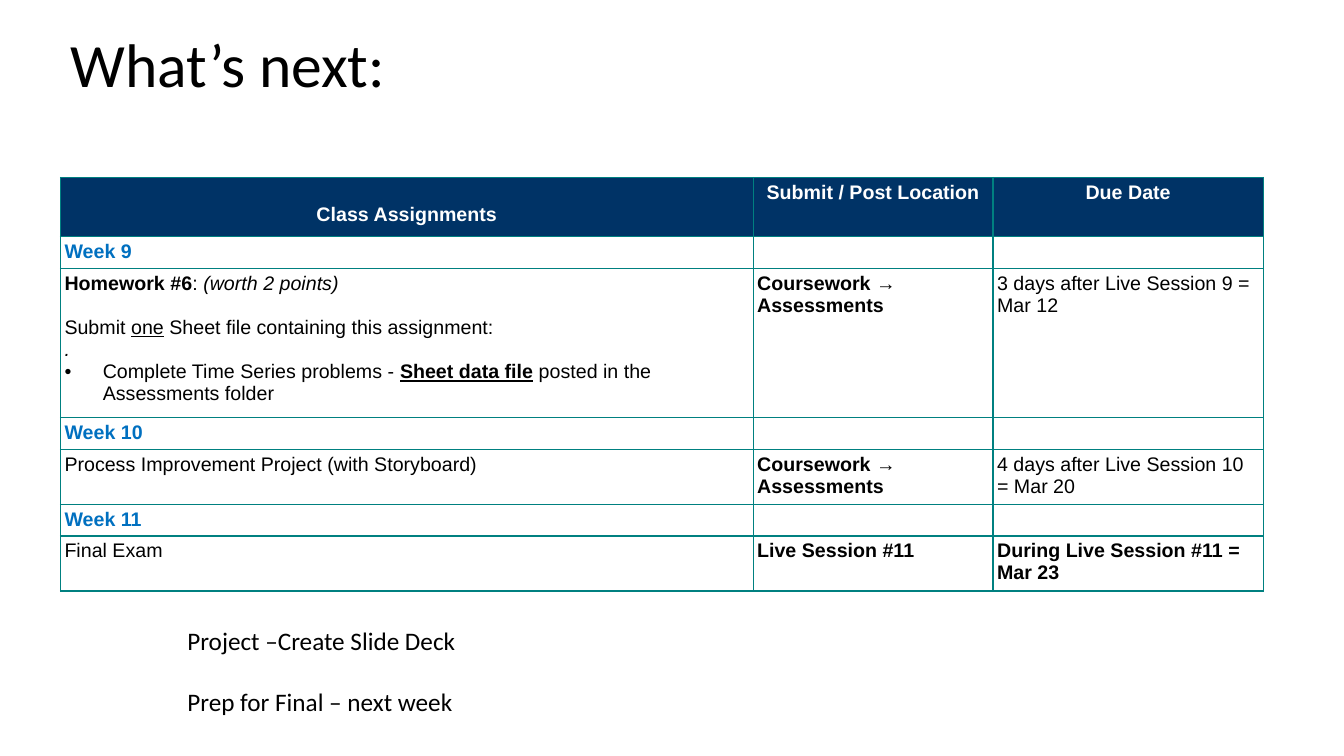
from dataclasses import dataclass

from lxml import etree
from pptx import Presentation
from pptx.dml.color import RGBColor
from pptx.enum.text import MSO_ANCHOR, MSO_AUTO_SIZE, PP_ALIGN
from pptx.oxml.ns import qn
from pptx.util import Pt

LEFT, CENTER = PP_ALIGN.LEFT, PP_ALIGN.CENTER
MIDDLE, TOP = MSO_ANCHOR.MIDDLE, MSO_ANCHOR.TOP
NO_AUTOFIT, FIT_SHAPE = MSO_AUTO_SIZE.NONE, MSO_AUTO_SIZE.SHAPE_TO_FIT_TEXT
EMU_PER_PX = 9144
COLORS = {"black": "000000", "white": "FFFFFF", "navy": "003366", "teal": "008080", "blue": "0070C0"}
COLUMN_WIDTHS = (687, 238, 268)
TABLE_LEFT = 60
CELL_MARGIN = 4
BULLET_INDENT = 38
TABLE_SIZE = 14


@dataclass(frozen=True)
class Run:
    """A stretch of text with one format."""
    text: str
    bold: bool = False
    italic: bool = False
    underline: bool = False
    color: str = "black"


@dataclass(frozen=True)
class Line:
    """A paragraph made of runs."""
    runs: tuple[Run, ...]
    align: PP_ALIGN = LEFT
    space_before: int = 0
    bullet: bool = False


@dataclass(frozen=True)
class Cell:
    """The content of one table cell."""
    lines: tuple[Line, ...] = ()
    fill: str = "white"
    margin_top: int = CELL_MARGIN


@dataclass(frozen=True)
class Row:
    """A table row with its height in px."""
    height: int
    cells: tuple[Cell, ...]


def px(length: int) -> int:
    """Turn px into EMU."""
    return length * EMU_PER_PX


def plain(text: str, bold: bool = False) -> Cell:
    """Return a cell with one black line."""
    return Cell((Line((Run(text, bold=bold),)),))


def heading(text: str, margin_top: int = CELL_MARGIN) -> Cell:
    """Return a header cell."""
    line = Line((Run(text, bold=True, color="white"),), align=CENTER)
    return Cell((line,), "navy", margin_top)


def week(number: int, height: int) -> Row:
    """Return the row that opens a week."""
    label = Line((Run(f"Week {number}", bold=True, color="blue"),))
    return Row(height, (Cell((label,)), Cell(), Cell()))


HEADER = (Row(59, (heading("Class Assignments", 26), heading("Submit / Post Location"), heading("Due Date"))),)
HOMEWORK = Cell((
    Line((Run("Homework #6", bold=True), Run(": "), Run("(worth 2 points)", italic=True))),
    Line((Run("Submit "), Run("one", underline=True), Run(" Sheet file containing this assignment:")),
         space_before=16),
    Line((Run(".", italic=True),)),
    Line((Run("Complete Time Series problems - "), Run("Sheet data file", bold=True, underline=True),
          Run(" posted in the Assessments folder")), bullet=True),
))
COURSEWORK = plain("Coursework → Assessments", bold=True)
ASSIGNMENTS = (
    week(9, 31),
    Row(148, (HOMEWORK, COURSEWORK, plain("3 days after Live Session 9 = Mar 12"))),
    week(10, 30),
    Row(54, (plain("Process Improvement Project (with Storyboard)"), COURSEWORK,
             plain("4 days after Live Session 10 = Mar 20"))),
    week(11, 30),
    Row(54, (plain("Final Exam"), plain("Live Session #11", bold=True),
             plain("During Live Session #11 = Mar 23", bold=True))),
)


def write_run(paragraph, text: str, *, size: int, font: str = "Calibri", color: str = "black",
              bold: bool = False, italic: bool = False, underline: bool = False) -> None:
    """Add formatted text to a paragraph."""
    run = paragraph.add_run()
    run.text = text
    run.font.name, run.font.size = font, Pt(size)
    run.font.bold, run.font.italic, run.font.underline = bold, italic, underline
    run.font.color.rgb = RGBColor.from_string(COLORS[color])


def add_bullet(paragraph) -> None:
    """Give a paragraph a hanging bullet."""
    properties = paragraph._p.get_or_add_pPr()
    properties.set("marL", str(px(BULLET_INDENT)))
    properties.set("indent", str(-px(BULLET_INDENT)))
    etree.SubElement(properties, qn("a:buFont"), typeface="Arial")
    etree.SubElement(properties, qn("a:buChar"), char="•")


def add_borders(table_cell) -> None:
    """Draw teal lines on all four sides of a cell."""
    properties = table_cell._tc.get_or_add_tcPr()
    for position, side in enumerate(("a:lnL", "a:lnR", "a:lnT", "a:lnB")):
        border = etree.Element(qn(side), w=str(Pt(1)))
        fill = etree.SubElement(border, qn("a:solidFill"))
        etree.SubElement(fill, qn("a:srgbClr"), val=COLORS["teal"])
        properties.insert(position, border)


def fill_cell(table_cell, cell: Cell) -> None:
    """Format a table cell and write its lines."""
    table_cell.margin_left = table_cell.margin_right = table_cell.margin_bottom = px(CELL_MARGIN)
    table_cell.margin_top = px(cell.margin_top)
    table_cell.vertical_anchor = TOP
    table_cell.fill.solid()
    table_cell.fill.fore_color.rgb = RGBColor.from_string(COLORS[cell.fill])
    add_borders(table_cell)
    frame = table_cell.text_frame
    if not cell.lines:
        etree.SubElement(frame.paragraphs[0]._p, qn("a:endParaRPr"), sz=str(TABLE_SIZE * 100))
    for index, line in enumerate(cell.lines):
        paragraph = frame.add_paragraph() if index else frame.paragraphs[0]
        paragraph.alignment = line.align
        paragraph.space_before = Pt(line.space_before)
        if line.bullet:
            add_bullet(paragraph)
        for run in line.runs:
            write_run(paragraph, run.text, size=TABLE_SIZE, font="Arial", color=run.color,
                      bold=run.bold, italic=run.italic, underline=run.underline)


def add_grid(slide, top: int, rows: tuple[Row, ...]) -> None:
    """Add a table with the shared columns."""
    height = sum(row.height for row in rows)
    table = slide.shapes.add_table(len(rows), len(COLUMN_WIDTHS), px(TABLE_LEFT), px(top),
                                   px(sum(COLUMN_WIDTHS)), px(height)).table
    table.first_row = table.horz_banding = False
    for column, width in zip(table.columns, COLUMN_WIDTHS):
        column.width = px(width)
    for table_row, row in zip(table.rows, rows):
        table_row.height = px(row.height)
        for table_cell, cell in zip(table_row.cells, row.cells):
            fill_cell(table_cell, cell)


def add_title(slide) -> None:
    """Place and write the slide title."""
    title = slide.shapes.title
    title.left, title.top, title.width, title.height = px(60), px(-5), px(1150), px(145)
    frame = title.text_frame
    frame.auto_size, frame.vertical_anchor = NO_AUTOFIT, MIDDLE
    paragraph = frame.paragraphs[0]
    paragraph.alignment, paragraph.line_spacing = LEFT, 0.9
    write_run(paragraph, "What’s next:", size=44)


def add_reminders(slide) -> None:
    """Add the two reminders below the tables."""
    frame = slide.shapes.add_textbox(px(176), px(615), px(302), px(101)).text_frame
    frame.word_wrap, frame.auto_size = False, FIT_SHAPE
    write_run(frame.paragraphs[0], "Project –Create Slide Deck", size=18)
    paragraph = frame.add_paragraph()
    paragraph.space_before = Pt(22)
    write_run(paragraph, "Prep for Final – next week", size=18)


def main() -> None:
    """Build the slide and save it."""
    presentation = Presentation()
    presentation.slide_width, presentation.slide_height = px(1333), px(750)
    slide = presentation.slides.add_slide(presentation.slide_layouts[5])
    add_title(slide)
    add_reminders(slide)
    add_grid(slide, 176, HEADER)
    add_grid(slide, 235, ASSIGNMENTS)
    presentation.save("out.pptx")


if __name__ == "__main__":
    main()
